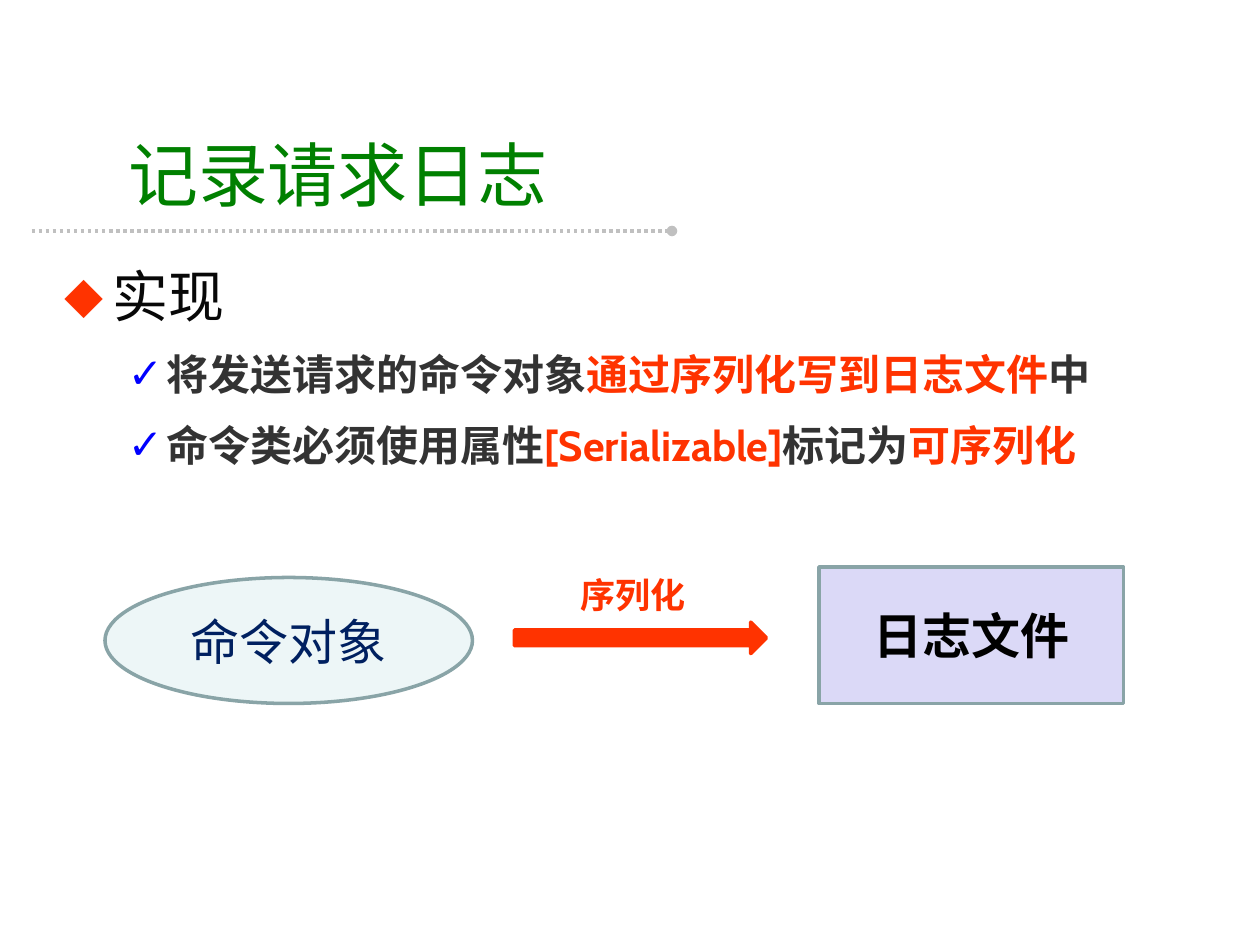
from dataclasses import dataclass
from lxml import etree
from pptx import Presentation, util as u
from pptx.dml.color import RGBColor
from pptx.enum import dml, shapes, text
from pptx.oxml.ns import qn


@dataclass(frozen=True)
class Theme:
    font: str = "Cabin"
    label_font: str = "Arial"
    green: str = "008000"
    red: str = "FF3300"
    blue: str = "0000FF"
    navy: str = "002060"
    black: str = "000000"
    ink: str = "080808"
    body: str = "333333"
    rule: str = "C0C0C0"
    border: str = "89A4A7"
    mint: str = "EDF6F7"
    lilac: str = "DBD9F7"
    title_size: int = 40
    heading_size: int = 32
    node_size: int = 28
    point_size: int = 24
    label_size: int = 20
    stroke: int = 2


T = Theme()
WIDTH, HEIGHT = 10, 7.5
COL, ROW = WIDTH / 120, HEIGHT / 90

TITLE = "记录请求日志"
HEADING = {"level": 0, "mark": "⬥", "mark_color": T.red, "margin": 0.38, "hang": 0.38,
           "before": 8, "size": T.heading_size, "bold": False}
POINT = {"level": 1, "mark": "✓", "mark_color": T.blue, "margin": 0.81, "hang": 0.31,
         "before": 6, "size": T.point_size, "bold": True}
OUTLINE = [
    (HEADING, [("实现", T.ink)]),
    (POINT, [("将发送请求的命令对象", T.body), ("通过序列化写到日志文件", T.red), ("中", T.body)]),
    (POINT, [("命令类必须使用属性", T.body), ("[Serializable]", T.red),
             ("标记为", T.body), ("可序列化", T.red)]),
]
KIND = shapes.MSO_SHAPE
FLOW = [
    (KIND.OVAL, (10, 55, 35, 12), T.mint, T.border, "命令对象", T.navy, False),
    (KIND.RECTANGLE, (78, 54, 29, 13), T.lilac, T.border, "日志文件", T.black, True),
    (KIND.RIGHT_ARROW, (49, 59.25, 24, 3), T.red, T.red, "", T.red, False),
]
STEP = "序列化"


def box(left, top, width, height):
    return [u.Inches(n) for n in (left * COL, top * ROW, width * COL, height * ROW)]


def apply(target, values):
    for name, value in values.items():
        setattr(target, name, value)


def write(paragraph, words, size, color, bold=False, font=T.font):
    run = paragraph.add_run()
    run.text = words
    apply(run.font, {"size": u.Pt(size), "bold": bold, "name": font})
    run.font.color.rgb = RGBColor.from_string(color)


def stroke(line, color):
    line.color.rgb = RGBColor.from_string(color)
    line.width = u.Pt(T.stroke)


def add_mark(paragraph, style):
    props = paragraph._p.get_or_add_pPr()
    props.set("marL", str(u.Inches(style["margin"])))
    props.set("indent", str(-u.Inches(style["hang"])))
    tint = etree.SubElement(props, qn("a:buClr"))
    etree.SubElement(tint, qn("a:srgbClr"), val=style["mark_color"])
    etree.SubElement(props, qn("a:buFont"), typeface=T.label_font)
    etree.SubElement(props, qn("a:buChar"), char=style["mark"])


def add_title(slide):
    title = slide.shapes.title
    apply(title, dict(zip(("left", "top", "width", "height"), box(11, 12, 83, 9))))
    apply(title.text_frame, {"vertical_anchor": text.MSO_ANCHOR.MIDDLE,
                             "auto_size": text.MSO_AUTO_SIZE.NONE})
    heading = title.text_frame.paragraphs[0]
    heading.alignment = text.PP_ALIGN.LEFT
    write(heading, TITLE, T.title_size, T.green)


def add_rule(slide):
    left, top, width, _ = box(3, 22, 61, 0)
    rule = slide.shapes.add_connector(shapes.MSO_CONNECTOR.STRAIGHT, left, top, left + width, top)
    stroke(rule.line, T.rule)
    rule.line.dash_style = dml.MSO_LINE.ROUND_DOT
    etree.SubElement(rule.line._get_or_add_ln(), qn("a:tailEnd"), type="oval")
    etree.SubElement(rule._element.spPr, qn("a:effectLst"))


def add_outline(slide):
    frame = slide.shapes.add_textbox(*box(5, 23, 108, 54)).text_frame
    frame.word_wrap = True
    for i, (style, parts) in enumerate(OUTLINE):
        item = frame.add_paragraph() if i else frame.paragraphs[0]
        apply(item, {"level": style["level"], "line_spacing": 1.2,
                     "space_before": u.Pt(style["before"])})
        add_mark(item, style)
        for words, color in parts:
            write(item, words, style["size"], color, style["bold"])


def add_flow(slide):
    for kind, place, fill, border, words, color, bold in FLOW:
        node = slide.shapes.add_shape(kind, *box(*place))
        node.shadow.inherit = False
        node.fill.solid()
        node.fill.fore_color.rgb = RGBColor.from_string(fill)
        stroke(node.line, border)
        if words:
            node.text_frame.vertical_anchor = text.MSO_ANCHOR.MIDDLE
            caption = node.text_frame.paragraphs[0]
            caption.alignment = text.PP_ALIGN.CENTER
            write(caption, words, T.node_size, color, bold)
    label = slide.shapes.add_textbox(*box(54.1, 54, 12.4, 5.25)).text_frame
    apply(label, {"word_wrap": False, "auto_size": text.MSO_AUTO_SIZE.SHAPE_TO_FIT_TEXT})
    write(label.paragraphs[0], STEP, T.label_size, T.red, True, T.label_font)


def main():
    deck = Presentation()
    apply(deck, {"slide_width": u.Inches(WIDTH), "slide_height": u.Inches(HEIGHT)})
    slide = deck.slides.add_slide(deck.slide_layouts.get_by_name("Title Only"))
    for add_part in (add_rule, add_title, add_outline, add_flow):
        add_part(slide)
    deck.save("out.pptx")


if __name__ == "__main__":
    main()
